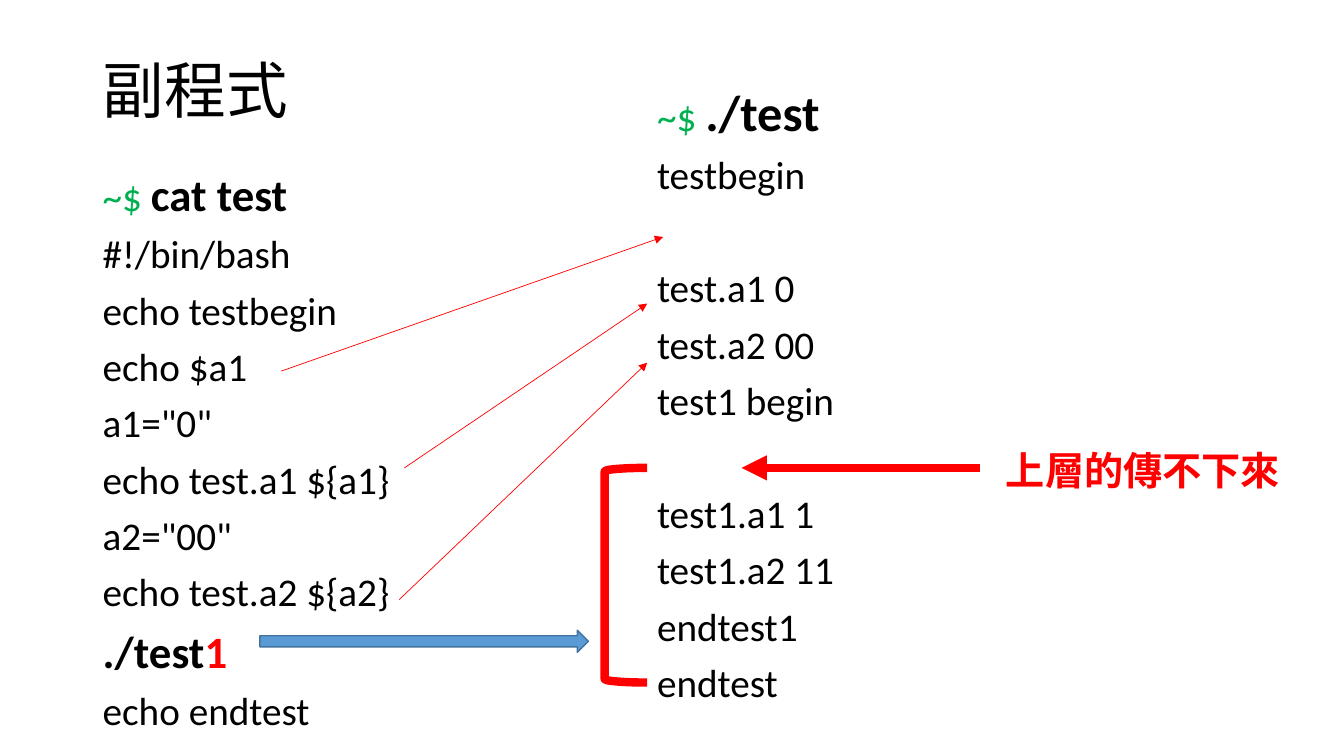
"""Build a slide that links a shell script's lines to the output they print."""
from dataclasses import dataclass

from lxml.etree import SubElement
from pptx import Presentation
from pptx.dml.color import RGBColor
from pptx.enum.shapes import MSO_CONNECTOR as Connector, MSO_SHAPE as Shape
from pptx.enum.text import MSO_ANCHOR as Anchor, MSO_AUTO_SIZE as AutoSize, PP_ALIGN as Align
from pptx.oxml.ns import qn
from pptx.slide import Slide
from pptx.text.text import TextFrame, _Paragraph as Paragraph
from pptx.util import Cm, Pt


@dataclass(frozen=True)
class Theme:
    font: str = "Calibri"
    ink: RGBColor = RGBColor(0, 0, 0)
    prompt: RGBColor = RGBColor(0x00, 0xB0, 0x50)
    accent: RGBColor = RGBColor(0xFF, 0, 0)
    call_fill: RGBColor = RGBColor(0x5B, 0x9B, 0xD5)
    call_line: RGBColor = RGBColor(0x43, 0x73, 0x9E)
    title: float = 44
    output_command: float = 36
    command: float = 32
    body: float = 28
    line_spacing: float = 0.9
    gap: float = 10
    empty_line: float = 40.4
    thin: float = 0.5
    thick: float = 6


THEME = Theme()


@dataclass(frozen=True)
class Span:
    text: str
    size: float = THEME.body
    color: RGBColor = THEME.ink
    bold: bool = False


@dataclass(frozen=True)
class Line:
    spans: tuple[Span, ...]
    empty_before: int = 0


@dataclass(frozen=True)
class Listing:
    box: tuple[float, float, float, float]
    lines: tuple[Line, ...]


@dataclass(frozen=True)
class Arrow:
    start: tuple[float, float]
    end: tuple[float, float]
    width: float = THEME.thin


@dataclass(frozen=True)
class Mark:
    preset: Shape
    box: tuple[float, float, float, float]
    line: RGBColor
    width: float
    fill: RGBColor | None = None


def plain(text: str, empty_before: int = 0) -> Line:
    return Line((Span(text),), empty_before)


def prompt(command: str, size: float) -> Line:
    return Line((Span("~$ ", color=THEME.prompt), Span(command, size, bold=True)))


SCRIPT = Listing((2.34, 4.22, 14.4, 14.15), (
    prompt("cat test", THEME.command),
    *map(plain, ("#!/bin/bash", "echo testbegin", "echo $a1", 'a1="0"',
                 "echo test.a1 ${a1}", 'a2="00"', "echo test.a2 ${a2}")),
    Line((Span("./test", THEME.command, bold=True),
          Span("1", THEME.command, THEME.accent, True))),
    plain("echo endtest"),
))
OUTPUT = Listing((16.31, 2.08, 14.4, 16.26), (
    prompt("./test", THEME.output_command),
    plain("testbegin"),
    plain("test.a1 0", empty_before=1),
    plain("test.a2 00"),
    plain("test1 begin"),
    plain("test1.a1 1", empty_before=1),
    *map(plain, ("test1.a2 11", "endtest1", "endtest")),
))
ARROWS = (
    Arrow((24.69, 11.79), (18.69, 11.79), THEME.thick),
    Arrow((7.09, 9.35), (16.71, 5.97)),
    Arrow((10.19, 11.79), (16.31, 7.65)),
    Arrow((10.06, 15.11), (16.31, 9.14)),
)
MARKS = (
    Mark(Shape.LEFT_BRACKET, (15.24, 11.79, 1.07, 5.41), THEME.accent, THEME.thick),
    Mark(Shape.RIGHT_ARROW, (6.55, 15.88, 8.28, 0.56), THEME.call_line, 1, THEME.call_fill),
)


def add_span(paragraph: Paragraph, span: Span) -> None:
    run = paragraph.add_run()
    run.text = span.text
    run.font.name = THEME.font
    run.font.size = Pt(span.size)
    run.font.bold = span.bold
    run.font.color.rgb = span.color


def add_text_frame(slide: Slide, box: tuple[float, float, float, float], wrap: bool) -> TextFrame:
    frame = slide.shapes.add_textbox(*map(Cm, box)).text_frame
    frame.word_wrap = wrap
    return frame


def add_listing(slide: Slide, listing: Listing) -> None:
    frame = add_text_frame(slide, listing.box, wrap=True)
    for index, line in enumerate(listing.lines):
        paragraph = frame.add_paragraph() if index else frame.paragraphs[0]
        paragraph.line_spacing = THEME.line_spacing
        paragraph.space_before = Pt(THEME.gap + line.empty_before * THEME.empty_line)
        for span in line.spans:
            add_span(paragraph, span)


def add_arrow(slide: Slide, arrow: Arrow) -> None:
    connector = slide.shapes.add_connector(
        Connector.STRAIGHT, *map(Cm, arrow.start + arrow.end))
    connector.line.color.rgb = THEME.accent
    connector.line.width = Pt(arrow.width)
    SubElement(connector.line._get_or_add_ln(), qn("a:tailEnd"), type="triangle")
    SubElement(connector._element.spPr, qn("a:effectLst"))


def add_mark(slide: Slide, mark: Mark) -> None:
    shape = slide.shapes.add_shape(mark.preset, *map(Cm, mark.box))
    shape.shadow.inherit = False
    shape.line.color.rgb = mark.line
    shape.line.width = Pt(mark.width)
    if mark.fill is None:
        shape.fill.background()
    else:
        shape.fill.solid()
        shape.fill.fore_color.rgb = mark.fill


def set_title(slide: Slide, text: str) -> None:
    title = slide.shapes.title
    title.left, title.top, title.width, title.height = map(Cm, (2.34, 1.02, 29.21, 2.69))
    title.text_frame.vertical_anchor = Anchor.MIDDLE
    title.text_frame.auto_size = AutoSize.NONE
    heading = title.text_frame.paragraphs[0]
    heading.alignment = Align.LEFT
    heading.line_spacing = THEME.line_spacing
    add_span(heading, Span(text, THEME.title))


def main() -> None:
    deck = Presentation()
    deck.slide_width, deck.slide_height = Cm(33.87), Cm(19.05)
    slide = deck.slides.add_slide(deck.slide_layouts.get_by_name("Title Only"))
    set_title(slide, "副程式")
    for listing in (SCRIPT, OUTPUT):
        add_listing(slide, listing)
    for arrow in ARROWS:
        add_arrow(slide, arrow)
    remark = add_text_frame(slide, (25.1, 11.13, 7.49, 1.45), wrap=False)
    remark.auto_size = AutoSize.SHAPE_TO_FIT_TEXT
    add_span(remark.paragraphs[0], Span("上層的傳不下來", color=THEME.accent, bold=True))
    for mark in MARKS:
        add_mark(slide, mark)
    deck.save("out.pptx")


main()
